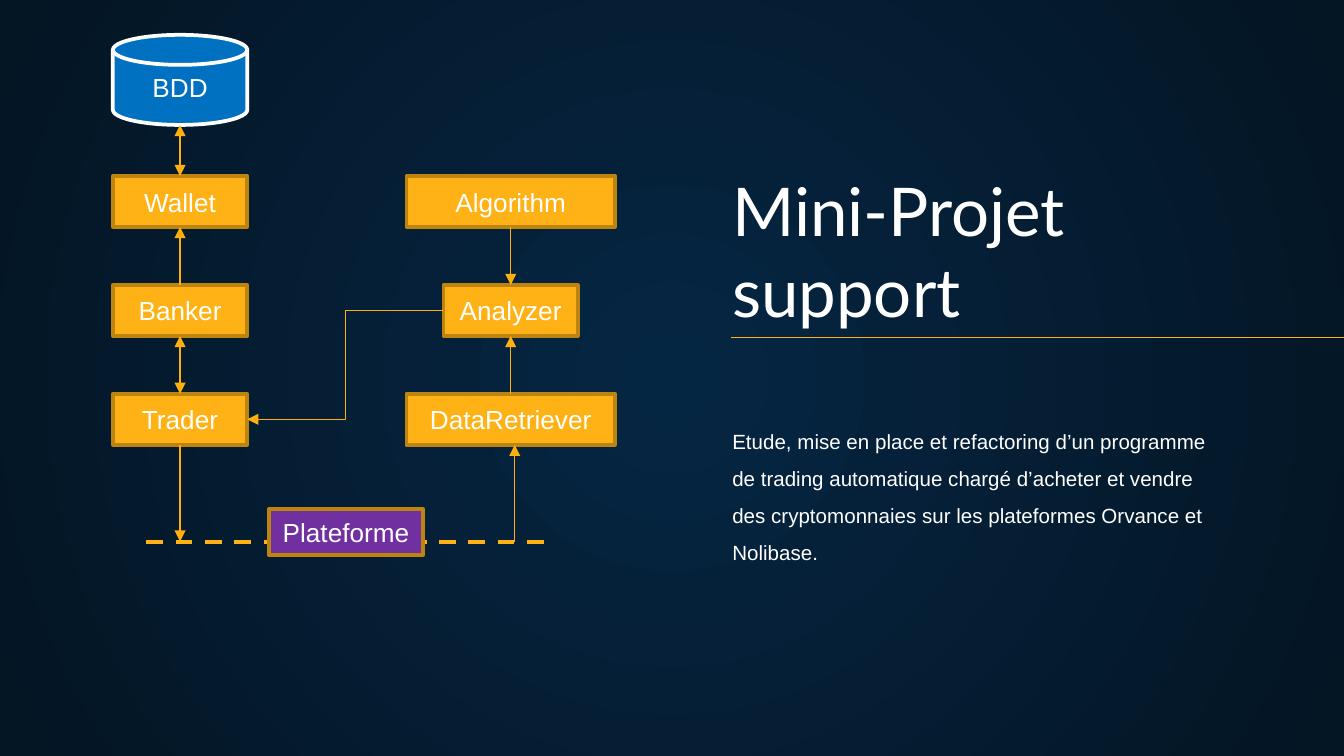
from dataclasses import dataclass

from lxml import etree
from pptx import Presentation
from pptx.dml.color import RGBColor
from pptx.enum import dml, shapes, text
from pptx.oxml import ns
from pptx.util import Inches, Pt


@dataclass(frozen=True)
class Theme:
    glow: str = "052643"
    night: str = "041523"
    white: str = "FFFFFF"
    amber: str = "FFB215"
    arrow: str = "FFB00F"
    border: str = "BD8410"
    blue: str = "0070C0"
    purple: str = "7030A0"
    heading_font: str = "Lato"
    body_font: str = "Arial"
    heading_size: int = 36
    label_size: int = 14
    body_size: int = 11


THEME = Theme()
SLIDE_WIDTH = 10
SLIDE_HEIGHT = SLIDE_WIDTH * 9 / 16
TOP, PITCH, HEIGHT = 1.31, 0.81, 0.38
LEFT_CENTER, RIGHT_CENTER = 1.34, 3.8
NARROW, WIDE = 1, 1.55
PLATFORM_Y = 4.03


def color(value):
    return RGBColor.from_string(value)


def style_font(paragraph, name, size):
    paragraph.font.name = name
    paragraph.font.size = Pt(size)
    paragraph.font.color.rgb = color(THEME.white)


def paint_background(slide):
    fill = slide.background.fill
    fill.gradient()
    for stop, value in zip(fill.gradient_stops, (THEME.glow, THEME.night)):
        stop.color.rgb = color(value)
    gradient = slide.element.find(".//" + ns.qn("a:gradFill"))
    gradient.remove(gradient.find(ns.qn("a:lin")))
    circle = etree.SubElement(gradient, ns.qn("a:path"), path="circle")
    center = dict.fromkeys("ltrb", "50000")
    etree.SubElement(circle, ns.qn("a:fillToRect"), center)


def add_text(slide, content, box, font, size, anchor, spacing=None):
    frame = slide.shapes.add_textbox(*map(Inches, box)).text_frame
    frame.word_wrap = True
    frame.vertical_anchor = anchor
    frame.margin_left = frame.margin_right = Inches(0.1)
    frame.margin_top = frame.margin_bottom = Inches(0.1)
    paragraph = frame.paragraphs[0]
    paragraph.text = content
    if spacing:
        paragraph.line_spacing = spacing
    style_font(paragraph, font, size)


def add_node(slide, label, box, fill=THEME.amber, border=THEME.border,
             kind=shapes.MSO_SHAPE.RECTANGLE):
    shape = slide.shapes.add_shape(kind, *map(Inches, box))
    shape.shadow.inherit = False
    shape.fill.solid()
    shape.fill.fore_color.rgb = color(fill)
    shape.line.color.rgb = color(border)
    shape.line.width = Pt(2)
    frame = shape.text_frame
    frame.word_wrap = False
    frame.vertical_anchor = text.MSO_ANCHOR.MIDDLE
    paragraph = frame.paragraphs[0]
    paragraph.text = label
    paragraph.alignment = text.PP_ALIGN.CENTER
    style_font(paragraph, THEME.body_font, THEME.label_size)
    return shape


def add_column(slide, center, nodes):
    return [
        add_node(slide, label, (center - width / 2, TOP + row * PITCH, width, HEIGHT))
        for row, (label, width) in enumerate(nodes)
    ]


def add_line(slide, start, end, line_color=THEME.amber, width=0.75,
             kind=shapes.MSO_CONNECTOR.STRAIGHT):
    line = slide.shapes.add_connector(kind, *map(Inches, (*start, *end)))
    line.line.color.rgb = color(line_color)
    line.line.width = Pt(width)
    etree.SubElement(line.element.spPr, ns.qn("a:effectLst"))
    return line


def add_arrow(slide, start, end, source=None, target=None, double=False,
              kind=shapes.MSO_CONNECTOR.STRAIGHT):
    arrow = add_line(slide, start, end, THEME.arrow, kind=kind)
    if source:
        arrow.begin_connect(*source)
    if target:
        arrow.end_connect(*target)
    outline = arrow.element.spPr.find(ns.qn("a:ln"))
    for end_name in ("a:headEnd", "a:tailEnd") if double else ("a:tailEnd",):
        etree.SubElement(outline, ns.qn(end_name), type="triangle")


def link(slide, source, target, **options):
    add_arrow(slide, (0, 0), (1, 1), source, target, **options)


def add_diagram(slide):
    add_node(slide, "BDD", (0.84, 0.26, 1, 0.67), THEME.blue, THEME.white,
             shapes.MSO_SHAPE.FLOWCHART_MAGNETIC_DISK)
    wallet, banker, trader = add_column(
        slide, LEFT_CENTER,
        [("Wallet", NARROW), ("Banker", NARROW), ("Trader", NARROW)])
    algorithm, analyzer, retriever = add_column(
        slide, RIGHT_CENTER,
        [("Algorithm", WIDE), ("Analyzer", NARROW), ("DataRetriever", WIDE)])

    platform = add_line(slide, (1.09, PLATFORM_Y), (4.05, PLATFORM_Y), width=2.25)
    platform.line.dash_style = dml.MSO_LINE.DASH
    column_bottom = TOP + 2 * PITCH + HEIGHT
    add_arrow(slide, (3.83, PLATFORM_Y), (3.83, column_bottom))
    add_arrow(slide, (LEFT_CENTER, column_bottom), (LEFT_CENTER, PLATFORM_Y),
              source=(trader, 2))
    link(slide, (retriever, 0), (analyzer, 2))
    link(slide, (algorithm, 2), (analyzer, 0))
    link(slide, (analyzer, 1), (trader, 3), kind=shapes.MSO_CONNECTOR.ELBOW)
    link(slide, (banker, 0), (wallet, 2))
    add_arrow(slide, (LEFT_CENTER, 0.93), (LEFT_CENTER, TOP),
              target=(wallet, 0), double=True)
    link(slide, (banker, 2), (trader, 0), double=True)
    add_node(slide, "Plateforme", (2, 3.79, 1.15, 0.34), THEME.purple)


def main():
    presentation = Presentation()
    presentation.slide_width = Inches(SLIDE_WIDTH)
    presentation.slide_height = Inches(SLIDE_HEIGHT)
    slide = presentation.slides.add_slide(presentation.slide_layouts[6])
    paint_background(slide)
    add_text(slide, "Mini-Projet support", (5.35, 1.9, 3.86, 0.66),
             THEME.heading_font, THEME.heading_size, text.MSO_ANCHOR.BOTTOM)
    add_text(slide,
             "Etude, mise en place et refactoring d’un programme de trading "
             "automatique chargé d’acheter et vendre des cryptomonnaies sur "
             "les plateformes Orvance et Nolibase.",
             (5.35, 3, 3.78, 1.55), THEME.body_font, THEME.body_size,
             text.MSO_ANCHOR.TOP, spacing=1.5)
    add_line(slide, (5.44, 2.51), (10.31, 2.51))
    add_diagram(slide)
    presentation.save("out.pptx")


if __name__ == "__main__":
    main()
